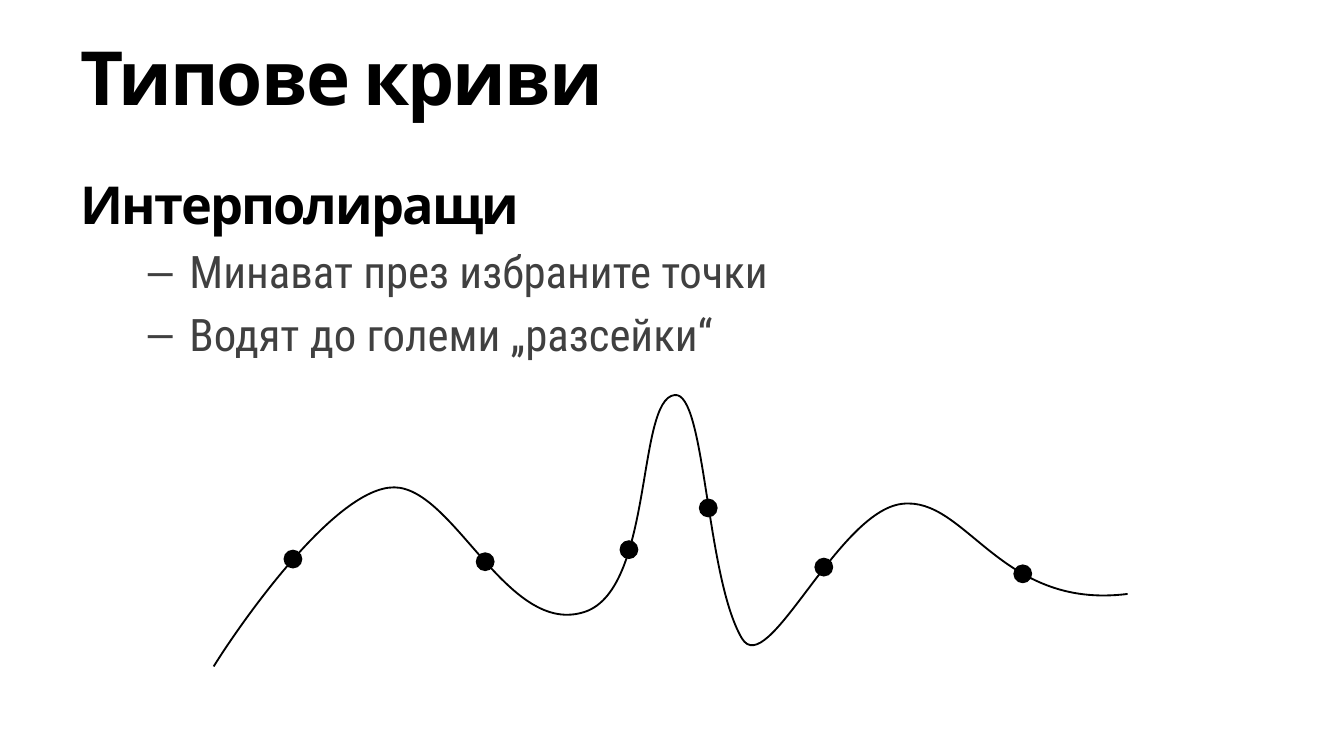
import pptx
import pptx.dml.color
import pptx.enum.shapes
import pptx.enum.text
import pptx.oxml
import pptx.oxml.ns
import pptx.util
from pptx.util import Inches

TITLE_FONT = "Cabin"
BODY_FONT = "Roboto Condensed"
BLACK = "000000"
GRAY = "404040"


def color(value):
    return pptx.dml.color.RGBColor.from_string(value)


class CurveSlide:
    """Holds the style and the current slide."""

    dot_size = 0.14

    def __init__(self, deck):
        self.page = deck.slides.add_slide(deck.slide_layouts[1])

    def place(self, box, left, top, width, height, anchor):
        box.left, box.top = Inches(left), Inches(top)
        box.width, box.height = Inches(width), Inches(height)
        frame = box.text_frame
        frame.word_wrap = True
        frame.auto_size = pptx.enum.text.MSO_AUTO_SIZE.NONE
        frame.vertical_anchor = anchor
        return frame

    def style(self, para, font, size, fill, bold=False, spacing=0):
        para.alignment = pptx.enum.text.PP_ALIGN.LEFT
        para.font.name = font
        para.font.size = pptx.util.Pt(size)
        para.font.bold = bold
        para.font.color.rgb = color(fill)
        for span in para.runs:
            span._r.get_or_add_rPr().set("spc", str(spacing * 100))

    def title(self, text):
        frame = self.place(self.page.shapes.title, 0.5, 0.14, 9.5, 0.85,
                           pptx.enum.text.MSO_ANCHOR.MIDDLE)
        frame.text = text
        self.style(frame.paragraphs[0], TITLE_FONT, 40, BLACK, True, -1)

    def indent(self, para, margin, hanging, bullet=None):
        properties = para._p.get_or_add_pPr()
        properties.set("marL", str(Inches(margin)))
        properties.set("indent", str(-Inches(hanging)))
        tag = "a:buChar" if bullet else "a:buNone"
        mark = pptx.oxml.ns.qn(tag)
        element = properties.makeelement(mark, {"char": bullet} if bullet else {})
        properties.append(element)

    def body(self, heading, items):
        frame = self.place(self.page.placeholders[1], 0.5, 1.23, 9.5, 4.25,
                           pptx.enum.text.MSO_ANCHOR.TOP)
        para = frame.paragraphs[0]
        para.text = heading
        self.indent(para, 0.38, 0.38)
        para.space_before = pptx.util.Pt(0)
        self.style(para, TITLE_FONT, 28, BLACK, True, -1)
        for item in items:
            para = frame.add_paragraph()
            para.text = item
            para.level = 1
            self.indent(para, 0.81, 0.31, "–")
            para.space_before = pptx.util.Pt(4.8)
            self.style(para, BODY_FONT, 24, GRAY)

    def curve(self, start, points):
        """Draw a smooth line; every three points make one Bézier segment."""
        builder = self.page.shapes.build_freeform(
            Inches(start[0]), Inches(start[1]))
        builder.add_line_segments(
            [(Inches(x), Inches(y)) for x, y in points], close=False)
        line = builder.convert_to_shape()
        line.shadow.inherit = False
        line.fill.background()
        line.line.color.rgb = color(BLACK)
        line.line.width = pptx.util.Pt(1)

        # Merge the straight segments into cubic ones
        qn = pptx.oxml.ns.qn
        outline = next(line._element.iter(qn("a:path")))
        segments = outline.findall(qn("a:lnTo"))
        for first in range(0, len(segments), 3):
            cubic = outline.makeelement(qn("a:cubicBezTo"), {})
            for segment in segments[first:first + 3]:
                cubic.append(segment[0])
                outline.remove(segment)
            outline.append(cubic)

    def dot(self, left, top):
        dot = self.page.shapes.add_shape(
            pptx.enum.shapes.MSO_SHAPE.OVAL, Inches(left), Inches(top),
            Inches(self.dot_size), Inches(self.dot_size))
        dot.shadow.inherit = False
        dot.fill.solid()
        dot.fill.fore_color.rgb = color(BLACK)
        dot.line.fill.background()


def main():
    # Widescreen page, 16:9
    deck = pptx.Presentation()
    deck.slide_width, deck.slide_height = Inches(10), Inches(10 * 9 / 16)
    slide = CurveSlide(deck)

    # Text
    slide.title("Типове криви")
    slide.body("Интерполиращи", ["Минават през избраните точки",
                                 "Водят до големи „разсейки“"])

    # Interpolating curve
    slide.curve((1.59, 4.96), [
        (1.75, 4.7), (2.44, 3.69), (2.89, 3.63),
        (3.35, 3.56), (3.75, 4.72), (4.33, 4.56),
        (4.87, 4.42), (4.73, 2.97), (5.02, 2.94),
        (5.25, 2.91), (5.25, 4.29), (5.52, 4.75),
        (5.71, 5.07), (6.23, 3.81), (6.71, 3.75),
        (7.19, 3.69), (7.44, 4.54), (8.39, 4.42)])

    # Chosen points on the curve
    for left, top in [(2.11, 4.09), (3.54, 4.11), (4.61, 4.02),
                      (5.2, 3.71), (6.06, 4.15), (7.54, 4.2)]:
        slide.dot(left, top)

    deck.save("out.pptx")


if __name__ == "__main__":
    main()
